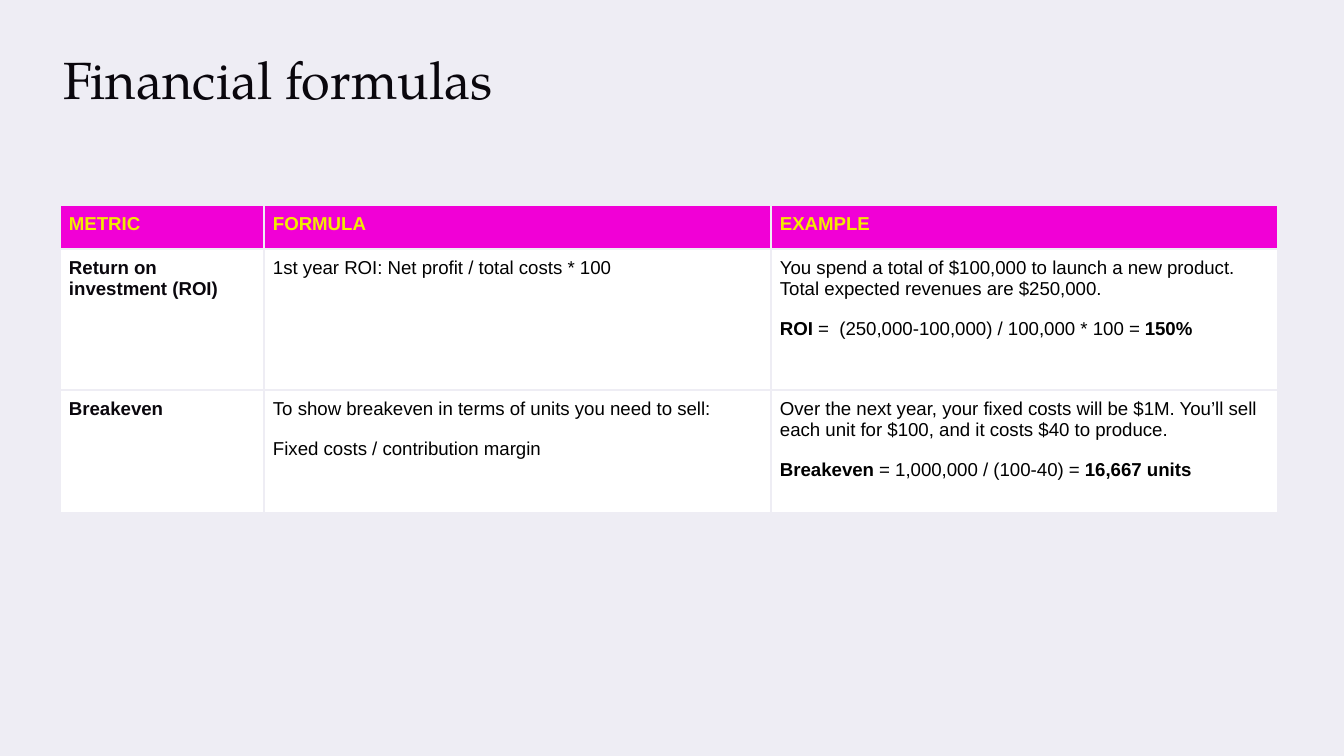
from dataclasses import dataclass

from lxml.etree import SubElement
from pptx import Presentation
from pptx.dml.color import RGBColor
from pptx.enum.text import MSO_ANCHOR, MSO_AUTO_SIZE, PP_ALIGN
from pptx.oxml.ns import qn
from pptx.util import Emu, Pt

EMU_PER_PX = 914400 / 134.4
BACKGROUND, INK, BLACK = "EEEDF4", "0A070D", "000000"
MAGENTA, YELLOW, WHITE = "F100D6", "F2EB00", "FFFFFF"
COLUMN_WIDTHS = [204, 507, 507]
ROW_HEIGHTS = [44, 141, 123]


@dataclass(frozen=True)
class Run:
    text: str
    bold: bool = False


@dataclass(frozen=True)
class CellStyle:
    fill: str
    color: str


HEADER = CellStyle(MAGENTA, YELLOW)
METRIC = CellStyle(WHITE, INK)
BODY = CellStyle(WHITE, BLACK)

# Each cell is a list of paragraphs, each paragraph a list of runs
Paragraphs = list[list[Run]]
ROWS: list[list[Paragraphs]] = [
    [[[Run(heading, True)]] for heading in ("METRIC", "FORMULA", "EXAMPLE")],
    [
        [[Run("Return on investment (ROI)", True)]],
        [[Run("1st year ROI: Net profit / total costs * 100")]],
        [
            [Run("You spend a total of $100,000 to launch a new product. "
                 "Total expected revenues are $250,000.")],
            [Run("ROI", True), Run(" =  (250,000-100,000) / 100,000 * 100 = "),
             Run("150%", True)],
        ],
    ],
    [
        [[Run("Breakeven", True)]],
        [
            [Run("To show breakeven in terms of units you need to sell:")],
            [Run("Fixed costs / contribution margin")],
        ],
        [
            [Run("Over the next year, your fixed costs will be $1M. "
                 "You’ll sell each unit for $100, and it costs $40 to produce.")],
            [Run("Breakeven", True), Run(" = 1,000,000 / (100-40) = "),
             Run("16,667 units", True)],
        ],
    ],
]


def px(length: int) -> Emu:
    return Emu(round(length * EMU_PER_PX))


def rgb(value: str) -> RGBColor:
    return RGBColor.from_string(value)


def add_borders(cell, color: str, width: float) -> None:
    properties = cell._tc.get_or_add_tcPr()
    for index, side in enumerate(("lnL", "lnR", "lnT", "lnB")):
        line = SubElement(properties, qn(f"a:{side}"), w=str(Pt(width)))
        fill = SubElement(line, qn("a:solidFill"))
        SubElement(fill, qn("a:srgbClr"), val=color)
        properties.insert(index, line)  # borders come before the fill


def fill_cell(cell, paragraphs: Paragraphs, style: CellStyle) -> None:
    cell.fill.solid()
    cell.fill.fore_color.rgb = rgb(style.fill)
    add_borders(cell, BACKGROUND, 1.5)
    cell.margin_left = cell.margin_right = px(9)
    cell.margin_top = cell.margin_bottom = px(9)
    cell.vertical_anchor = MSO_ANCHOR.TOP
    frame = cell.text_frame
    for index, runs in enumerate(paragraphs):
        paragraph = frame.add_paragraph() if index else frame.paragraphs[0]
        if index:
            paragraph.space_before = Pt(10)
        font = paragraph.font
        font.name, font.size = "Arial", Pt(10)
        font.color.rgb = rgb(style.color)
        for part in runs:
            run = paragraph.add_run()
            run.text = part.text
            run.font.bold = part.bold


def set_title(slide, text: str) -> None:
    title = slide.shapes.title
    title.left, title.top, title.width, title.height = map(px, (50, 34, 1176, 85))
    frame = title.text_frame
    frame.text = text
    frame.auto_size = MSO_AUTO_SIZE.NONE
    frame.vertical_anchor = MSO_ANCHOR.TOP
    frame.margin_left = frame.margin_right = px(13)
    frame.margin_top = frame.margin_bottom = px(13)
    paragraph = frame.paragraphs[0]
    paragraph.alignment = PP_ALIGN.LEFT
    paragraph.font.name, paragraph.font.size = "TeX Gyre Pagella", Pt(28)
    paragraph.font.color.rgb = rgb(INK)


def add_formula_table(slide) -> None:
    table = slide.shapes.add_table(
        len(ROW_HEIGHTS), len(COLUMN_WIDTHS), px(60), px(205),
        px(sum(COLUMN_WIDTHS)), px(sum(ROW_HEIGHTS))).table
    for column, width in zip(table.columns, COLUMN_WIDTHS):
        column.width = px(width)
    for row, height in zip(table.rows, ROW_HEIGHTS):
        row.height = px(height)
    for row_index, row in enumerate(ROWS):
        for column_index, paragraphs in enumerate(row):
            if row_index == 0:
                style = HEADER
            else:
                style = BODY if column_index else METRIC
            fill_cell(table.cell(row_index, column_index), paragraphs, style)


def main() -> None:
    presentation = Presentation()
    presentation.slide_width, presentation.slide_height = px(1344), px(756)
    slide = presentation.slides.add_slide(presentation.slide_layouts[5])
    slide.background.fill.solid()
    slide.background.fill.fore_color.rgb = rgb(BACKGROUND)
    set_title(slide, "Financial formulas")
    add_formula_table(slide)
    presentation.save("out.pptx")


if __name__ == "__main__":
    main()
